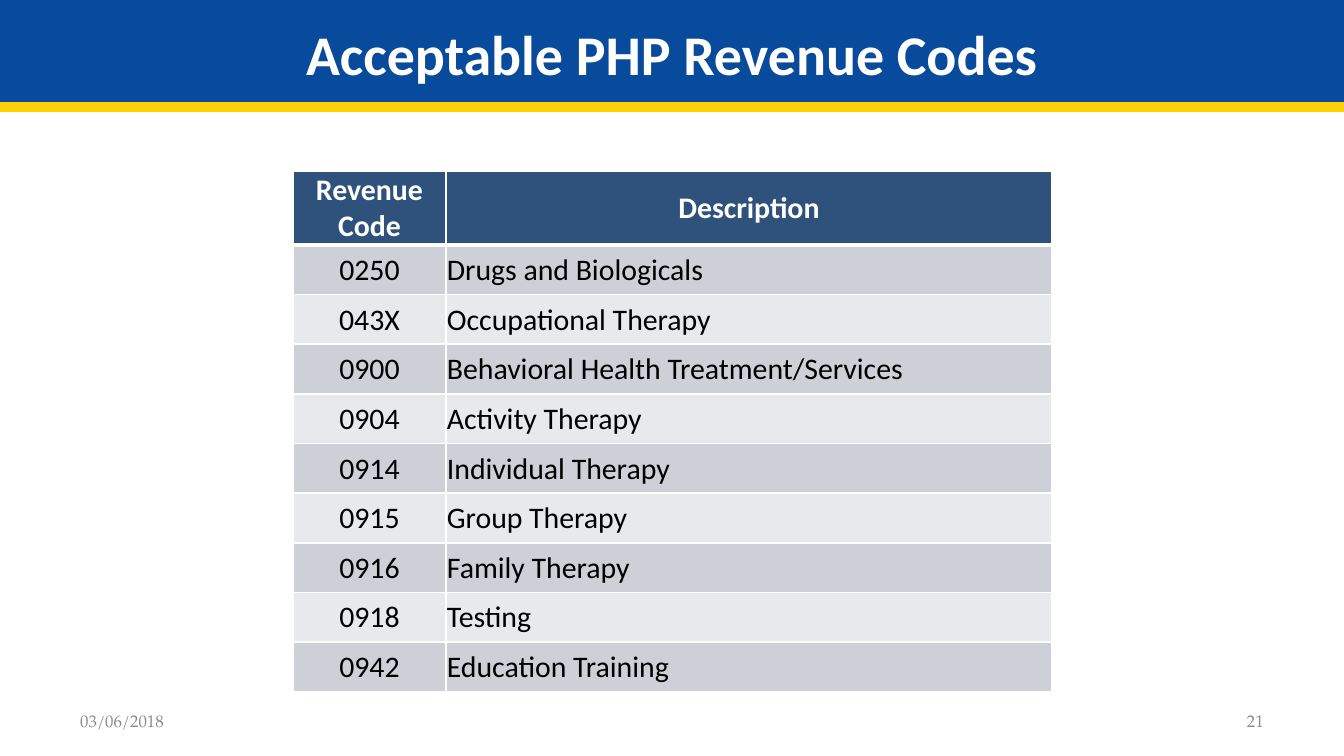
from pptx import Presentation
from pptx.dml.color import RGBColor as Rgb
from pptx.enum.shapes import MSO_SHAPE as Shape
from pptx.enum.text import MSO_ANCHOR as Anchor, PP_ALIGN as Align
from pptx.oxml import parse_xml
from pptx.oxml.ns import nsdecls
from pptx.util import Pt

SCALE = 914400 / 134.4
COLORS = {
    "blue": "084A9C", "gold": "FFD004", "head": "2F527D",
    "dark": "CDD1D7", "light": "E8E9EC", "white": "FFFFFF",
    "black": "000000", "gray": "8C8C8C",
}
CODES = [
    ("Revenue Code", "Description"),
    ("0250", "Drugs and Biologicals"),
    ("043X", "Occupational Therapy"),
    ("0900", "Behavioral Health Treatment/Services"),
    ("0904", "Activity Therapy"),
    ("0914", "Individual Therapy"),
    ("0915", "Group Therapy"),
    ("0916", "Family Therapy"),
    ("0918", "Testing"),
    ("0942", "Education Training"),
]


def px(*sizes):
    return [round(size * SCALE) for size in sizes]


def color(name):
    return Rgb.from_string(COLORS[name])


def write(frame, text, size=16, font="Calibri", ink="black", bold=False, align=Align.LEFT):
    para = frame.paragraphs[0]
    para.alignment = align
    run = para.add_run()
    run.text = text
    run.font.size = Pt(size)
    run.font.name = font
    run.font.bold = bold
    run.font.color.rgb = color(ink)


class Deck:
    def __init__(self, wide, high):
        self.file = Presentation()
        self.file.slide_width, self.file.slide_height = px(wide, high)
        self.slide = self.file.slides.add_slide(self.file.slide_layouts[6])

    def band(self, box, fill):
        shape = self.slide.shapes.add_shape(Shape.RECTANGLE, *px(*box))
        shape.shadow.inherit = False
        shape.fill.solid()
        shape.fill.fore_color.rgb = color(fill)
        shape.line.fill.background()

    def label(self, box, text, **style):
        frame = self.slide.shapes.add_textbox(*px(*box)).text_frame
        frame.word_wrap = True
        frame.vertical_anchor = Anchor.MIDDLE
        write(frame, text, **style)

    def cell(self, cell, text, fill, edges, **style):
        props = cell._tc.get_or_add_tcPr()
        for side, width in edges.items():
            props.append(parse_xml(
                f'<a:ln{side} {nsdecls("a")} w="{Pt(width)}"><a:solidFill>'
                f'<a:srgbClr val="{COLORS["white"]}"/></a:solidFill></a:ln{side}>'))
        cell.fill.solid()
        cell.fill.fore_color.rgb = color(fill)
        cell.vertical_anchor = Anchor.MIDDLE
        cell.margin_left = cell.margin_right = cell.margin_top = px(1)[0]
        cell.margin_bottom = 0
        write(cell.text_frame, text, **style)

    def table(self, box, cols, head, rows):
        grid = self.slide.shapes.add_table(len(rows), len(cols), *px(*box)).table
        for col, wide in zip(grid.columns, px(*cols)):
            col.width = wide
        step = (box[3] - head) / (len(rows) - 1)
        for r, row in enumerate(rows):
            top = r == 0
            grid.rows[r].height = px(head if top else step)[0]
            fill = "head" if top else "dark" if r % 2 else "light"
            edges = {"L": 1, "R": 1, "T": 3 if r == 1 else 1, "B": 3 if top else 1}
            for c, text in enumerate(row):
                self.cell(grid.cell(r, c), text, fill, edges,
                          ink="white" if top else "black", bold=top,
                          align=Align.CENTER if top or c == 0 else Align.LEFT)


def main():
    deck = Deck(1344, 756)
    deck.band((0, 0, 1344, 102), "blue")
    deck.band((0, 102, 1344, 10), "gold")
    deck.label((0, 15, 1344, 77), "Acceptable PHP Revenue Codes",
               size=30, ink="white", bold=True, align=Align.CENTER)
    deck.table((293, 171, 759, 521), (153, 606), 74, CODES)
    small = {"size": 9, "font": "TeX Gyre Pagella", "ink": "gray"}
    deck.label((67, 701, 257, 40), "03/06/2018", **small)
    deck.label((964, 701, 313, 40), "21", align=Align.RIGHT, **small)
    deck.file.save("out.pptx")


if __name__ == "__main__":
    main()
